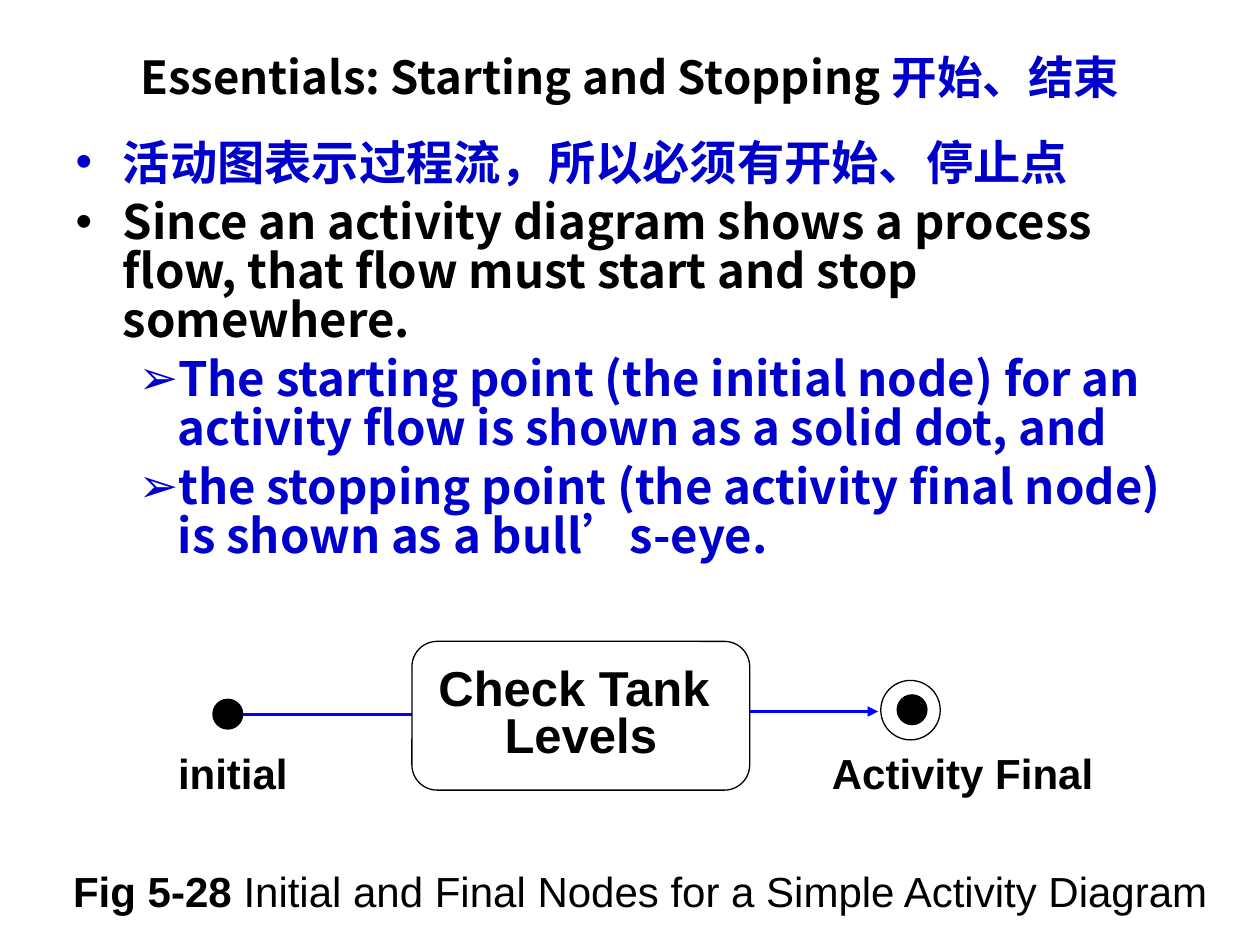
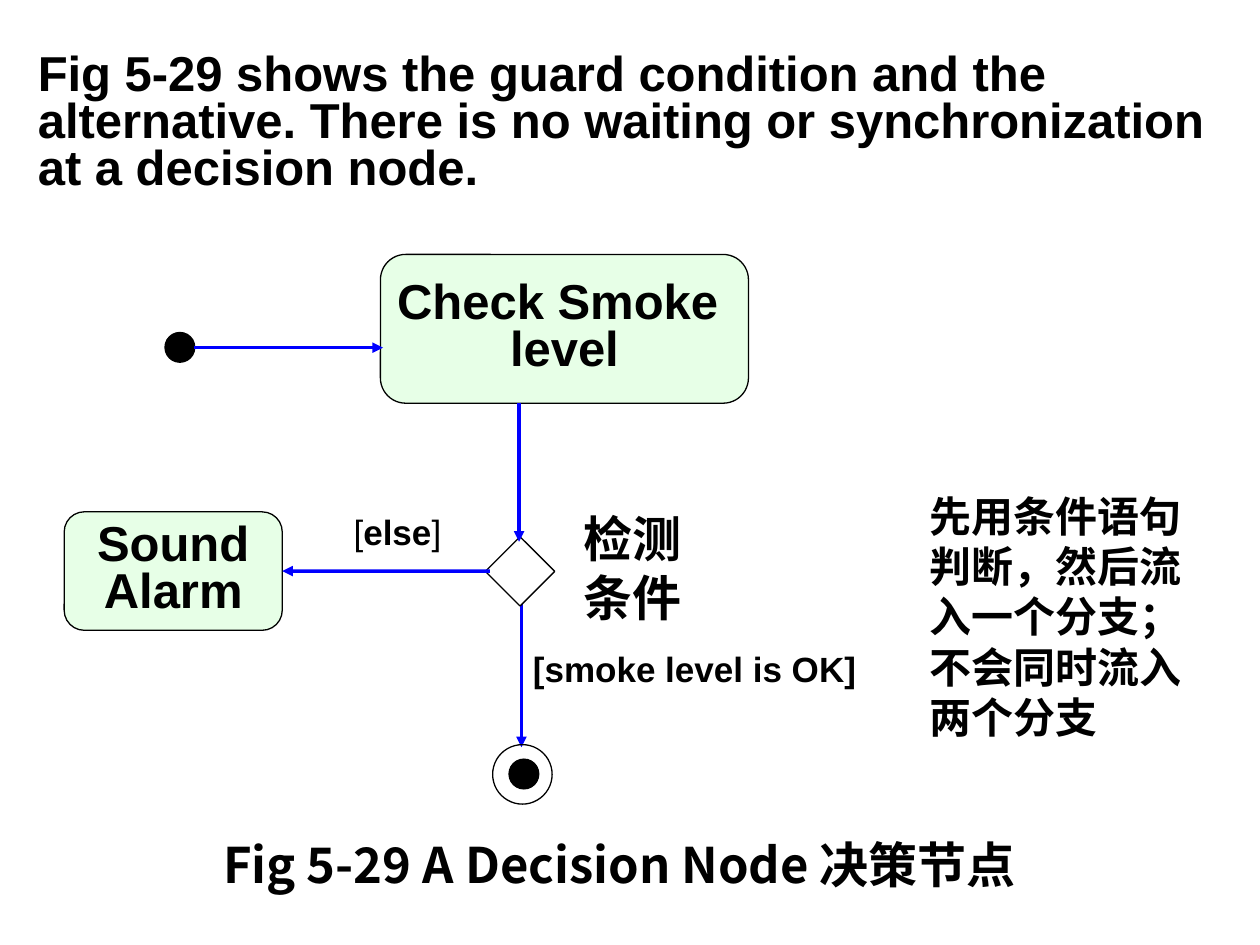
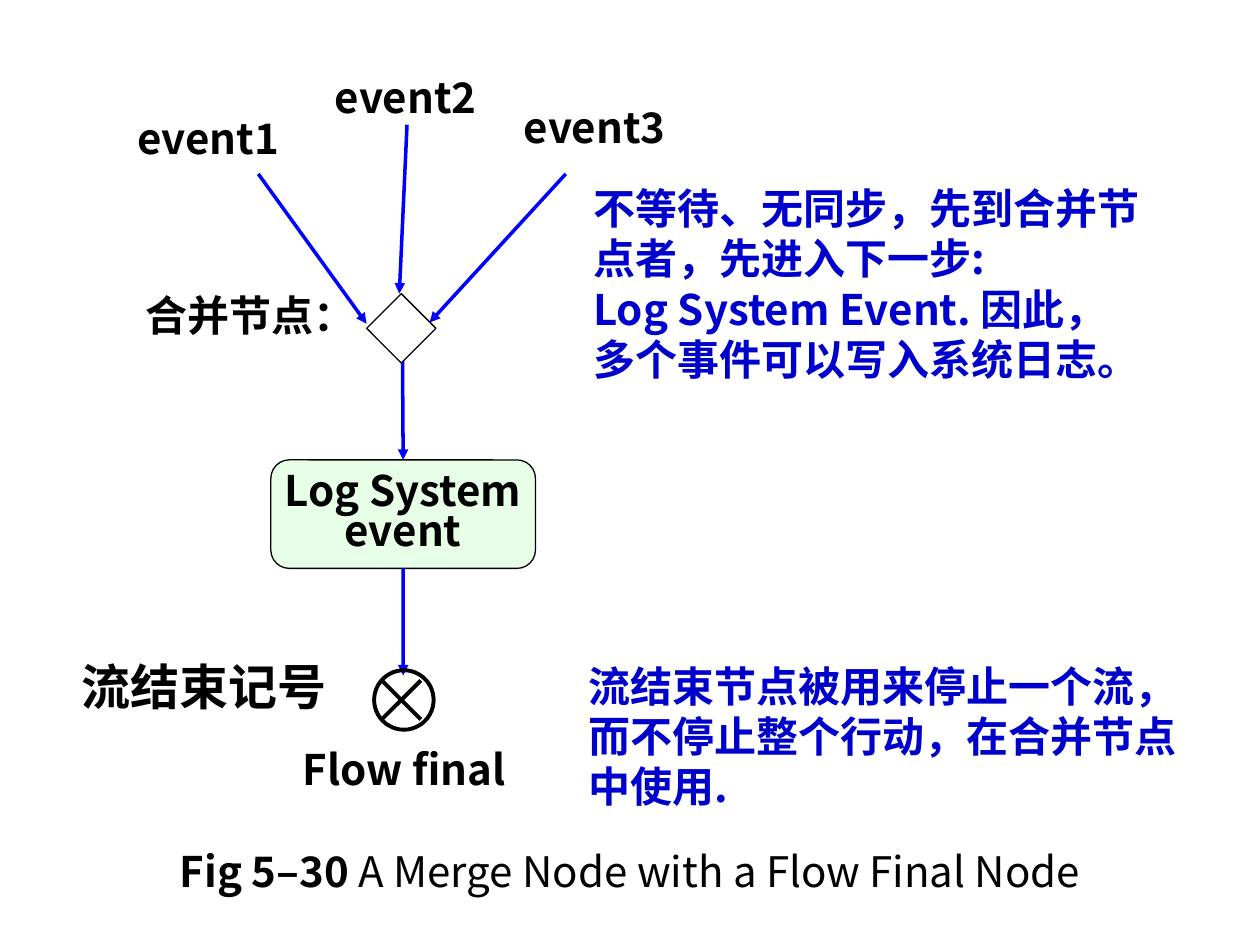
from dataclasses import dataclass

from lxml.etree import SubElement
from pptx import Presentation
from pptx.dml.color import RGBColor
from pptx.enum.shapes import MSO_CONNECTOR, MSO_SHAPE
from pptx.enum.text import MSO_ANCHOR, MSO_AUTO_SIZE, PP_ALIGN
from pptx.oxml.ns import qn
from pptx.util import Pt


@dataclass(frozen=True)
class Theme:
    black: RGBColor = RGBColor(0, 0, 0)
    white: RGBColor = RGBColor(255, 255, 255)
    blue: RGBColor = RGBColor(0, 0, 0xCC)
    flow: RGBColor = RGBColor(0, 0, 0xFF)
    green: RGBColor = RGBColor(0xCC, 0xFF, 0xCC)
    arial: str = "Arial"
    noto: str = "Noto Sans CJK SC"
    big: float = 28
    list: float = 27
    head: float = 26
    text: float = 24
    small: float = 20
    thin: float = 0.75
    arrow: float = 2
    thick: float = 2.25


T = Theme()
MID = {"alignment": PP_ALIGN.CENTER}
TIGHT = {**MID, "line_spacing": 0.8}


# Text helpers
def put(thing, values):
    for name, value in values.items():
        setattr(thing, name, value)


def look(size=T.text, name=T.noto, ink=T.black, bold=True):
    return {"size": Pt(size), "name": name, "ink": ink, "bold": bold}


def add_run(para, text, form):
    run = para.add_run()
    run.text = text
    put(run.font, {k: v for k, v in form.items() if k != "ink"})
    run.font.color.rgb = form["ink"]
    latin = run._r.get_or_add_rPr().find(qn("a:latin"))
    east = SubElement(latin.getparent(), qn("a:ea"), typeface=form["name"])
    latin.addnext(east)


def indent(para, left, hang, mark=None, ink=None):
    props = para._p.get_or_add_pPr()
    props.set("marL", str(Pt(left)))
    props.set("indent", str(Pt(-hang)))
    if mark:
        tint = SubElement(props, qn("a:buClr"))
        SubElement(tint, qn("a:srgbClr"), val=str(ink))
        SubElement(props, qn("a:buChar"), char=mark)
    else:
        SubElement(props, qn("a:buNone"))


def add_para(frame, first, runs, form, para_form):
    """Each run is a string, or a string with changes to the form."""
    para = frame.paragraphs[0] if first else frame.add_paragraph()
    put(para, para_form)
    for run in runs:
        text, change = (run, {}) if isinstance(run, str) else run
        add_run(para, text, {**form, **change})
    return para


def write(frame, lines, form, para_form):
    for i, runs in enumerate(lines):
        add_para(frame, i == 0, runs, form, para_form)


def place(shape, box):
    put(shape, dict(zip(("left", "top", "width", "height"), map(Pt, box))))
    put(shape.text_frame, {"auto_size": MSO_AUTO_SIZE.NONE, "word_wrap": True})
    return shape.text_frame


def label(slide, box, lines, form, para_form=None, wrap=True, side=7.2):
    frame = slide.shapes.add_textbox(*map(Pt, box)).text_frame
    put(frame, {"word_wrap": wrap, "margin_left": Pt(side),
                "margin_right": Pt(side)})
    write(frame, lines, form, para_form or {})


def title(slide, box, runs, form, para_form):
    frame = place(slide.shapes.title, box)
    frame.vertical_anchor = MSO_ANCHOR.MIDDLE
    write(frame, [runs], form, para_form)


def caption(slide, box, runs, form, spacing):
    frame = place(slide.placeholders[1], box)
    para = add_para(frame, True, runs, form, {})
    indent(para, 27, 27)
    put(para, {**MID, "line_spacing": spacing, "space_before": Pt(0)})


# Diagram parts
def solid(slide, kind, box, fill=None, width=T.thin):
    shape = slide.shapes.add_shape(kind, *map(Pt, box))
    shape.shadow.inherit = False
    if fill is None:
        shape.fill.background()
    else:
        shape.fill.solid()
        shape.fill.fore_color.rgb = fill
    shape.line.color.rgb = T.black
    shape.line.width = Pt(width)
    return shape


def action(slide, box, words, form, fill=T.green):
    shape = solid(slide, MSO_SHAPE.ROUNDED_RECTANGLE, box, fill)
    shape.adjustments[0] = 0.17
    if fill == T.green:
        tint = shape._element.spPr.find(qn("a:solidFill"))[0]
        SubElement(tint, qn("a:alpha"), val="46000")
    frame = shape.text_frame
    put(frame, {"word_wrap": False, "vertical_anchor": MSO_ANCHOR.MIDDLE})
    write(frame, [[word] for word in words], form, TIGHT)
    return shape


def dot(slide, x, y):
    solid(slide, MSO_SHAPE.OVAL, (x, y, 17, 17), T.black)


def ring(slide, x, y, width=T.thin):
    solid(slide, MSO_SHAPE.OVAL, (x, y, 34, 34), width=width)


def final(slide, x, y):
    dot(slide, x + 9.4, y + 8.3)
    ring(slide, x, y)


def choice(slide, x, y):
    solid(slide, MSO_SHAPE.DIAMOND, (x, y, 39.6, 39.6), T.white)


def line(slide, start, end, ink=T.black, width=T.thick):
    link = slide.shapes.add_connector(
        MSO_CONNECTOR.STRAIGHT, *map(Pt, (*start, *end)))
    link.line.color.rgb = ink
    link.line.width = Pt(width)
    SubElement(link._element.spPr, qn("a:effectLst"))
    return link


def arrow(slide, start, end):
    link = line(slide, start, end, T.flow, T.arrow)
    SubElement(link.line._get_or_add_ln(), qn("a:tailEnd"), type="triangle")
    return link


# Slides
def start_stop(slide):
    title(slide, (36, 21.6, 648, 44),
          ["Essentials: Starting and Stopping ",
           ("开始、结束", {"ink": T.blue})], look(T.head), MID)

    # Points: text, colour, level
    points = [
        ("活动图表示过程流，所以必须有开始、停止点", T.blue, 0),
        ("Since an activity diagram shows a process flow, that flow must "
         "start and stop somewhere.", T.black, 0),
        ("The starting point (the initial node) for an activity flow is "
         "shown as a solid dot, and", T.blue, 1),
        ("the stopping point (the activity final node) is shown as a "
         "bull’s-eye.", T.blue, 1),
    ]
    marks = [(27, 27, "•"), (58.5, 22.5, "➢")]
    frame = place(slide.placeholders[1], (36, 77, 648, 250))
    for i, (text, ink, level) in enumerate(points):
        para = add_para(frame, i == 0, [text], look(T.list, ink=ink), {})
        indent(para, *marks[level], ink)
        put(para, {"level": level, "line_spacing": 0.86,
                   "space_before": Pt(6 if i else 0)})

    # Flow from the initial node to the final node
    arial = look(name=T.arial)
    label(slide, (41.8, 491, 664.6, 36),
          [["Fig 5-28 ",
            ("Initial and Final Nodes for a Simple Activity Diagram",
             {"bold": False})]], arial, side=0)
    dot(slide, 121.7, 399.6)
    arrow(slide, (139, 408.2), (246.2, 408.2))
    arrow(slide, (411, 406.6), (501.8, 406.6))
    final(slide, 503.3, 388.8)
    label(slide, (82, 423.4, 102.2, 36), [["initial"]], arial, MID)
    label(slide, (450.7, 423.4, 198.7, 36), [["Activity Final"]], arial, MID)
    action(slide, (235.4, 366.5, 193, 85), ["Check Tank ", "Levels"],
           look(T.big, T.arial), T.white)


def decide(slide):
    bold = look(T.big, T.arial)
    title(slide, (14.4, 26, 686.2, 90),
          ["Fig 5-29 shows the guard condition and the alternative. There is "
           "no waiting or synchronization at a decision node."],
          bold, {"alignment": PP_ALIGN.LEFT, "line_spacing": 0.8})
    caption(slide, (81.4, 479.5, 545, 36.7),
            ["Fig 5-29 A Decision Node 决策节点"], look(T.big), 0.8)

    # Nodes and flows
    action(slide, (217.4, 145.4, 210.3, 85), ["Check Smoke ", "level"], bold)
    dot(slide, 94.3, 190)
    arrow(slide, (111, 198.7), (218.9, 198.7))
    arrow(slide, (298, 344.9), (298, 427))
    final(slide, 281.5, 425.5)
    alarm = action(slide, (36.7, 292.5, 124.6, 67.7), ["Sound", "Alarm"], bold)
    choice(slide, 277.4, 306.7)
    arrow(slide, (296.6, 230.4), (296.6, 309.6))
    arrow(slide, (280, 326.4), (161.3, 326.4)).end_connect(alarm, 3)

    # Guards and notes
    guard = look(T.small, T.arial)
    plain = {"bold": False}
    label(slide, (297.4, 366.5, 209.5, 31.7), [["[smoke level is OK]"]], guard)
    label(slide, (195, 288, 74.2, 31.7),
          [[("[", plain), "else", ("]", plain)]], guard)
    label(slide, (326.2, 287.3, 80, 75), [["检测"], ["条件"]], look(T.big))
    label(slide, (524.2, 276.5, 175.7, 151),
          [["先用条件语句判断，然后流入一个分支；不会同时流入两个分支"]], look())


def merge(slide):
    head = slide.shapes.title._element
    head.getparent().remove(head)
    caption(slide, (36, 483, 648, 36.7),
            ["Fig 5–30 ",
             ("A Merge Node with a Flow Final Node", {"bold": False})],
            look(), 0.9)

    # Events flowing into the merge node
    events = [
        ((71.3, 60.5), (147.6, 99.4), (209.5, 185)),
        ((184.3, 37.4), (232.6, 71.3), (228.2, 167.8)),
        ((292.3, 54.7), (323.3, 99.4), (245.5, 184.3)),
    ]
    for i, (spot, start, end) in enumerate(events, 1):
        label(slide, (*spot, 96.5, 36), [[f"event{i}"]], look(), wrap=False)
        arrow(slide, start, end)

    # Log step and flow final
    log = action(slide, (154.8, 262.8, 151.2, 62), ["Log System", "event"],
                 look())
    arrow(slide, (230, 202.3), (230.4, 262.8)).end_connect(log, 0)
    choice(slide, 209.5, 167.8)
    arrow(slide, (230.4, 324.8), (230.4, 386)).begin_connect(log, 2)
    ring(slide, 213.8, 383, T.thick)
    left, right, top, base = 218.2, 240.5, 388.8, 411.1
    line(slide, (right, top), (left, base))
    line(slide, (left, top), (right, base))

    # Names and notes
    note = look(ink=T.blue)
    label(slide, (157, 421.2, 147.6, 36), [["Flow final"]], look(), MID)
    label(slide, (76.3, 162, 134, 36), [["合并节点："]], look(), wrap=False)
    label(slide, (39.6, 371.5, 159, 41), [["流结束记号"]], look(T.big))
    label(slide, (332, 100.8, 329, 122.4),
          [["不等待、无同步，先到合并节点者，先进入下一步:"],
           ["Log System Event. 因此，多个事件可以写入系统日志。"]], note)
    label(slide, (329, 373.7, 360, 93.6),
          [["流结束节点被用来停止一个流，而不停止整个行动，在合并节点中使用."]],
          note)


def main():
    deck = Presentation()
    put(deck, {"slide_width": Pt(720), "slide_height": Pt(540)})
    for build in (start_stop, decide, merge):
        build(deck.slides.add_slide(deck.slide_layouts[1]))
    deck.save("out.pptx")


if __name__ == "__main__":
    main()
